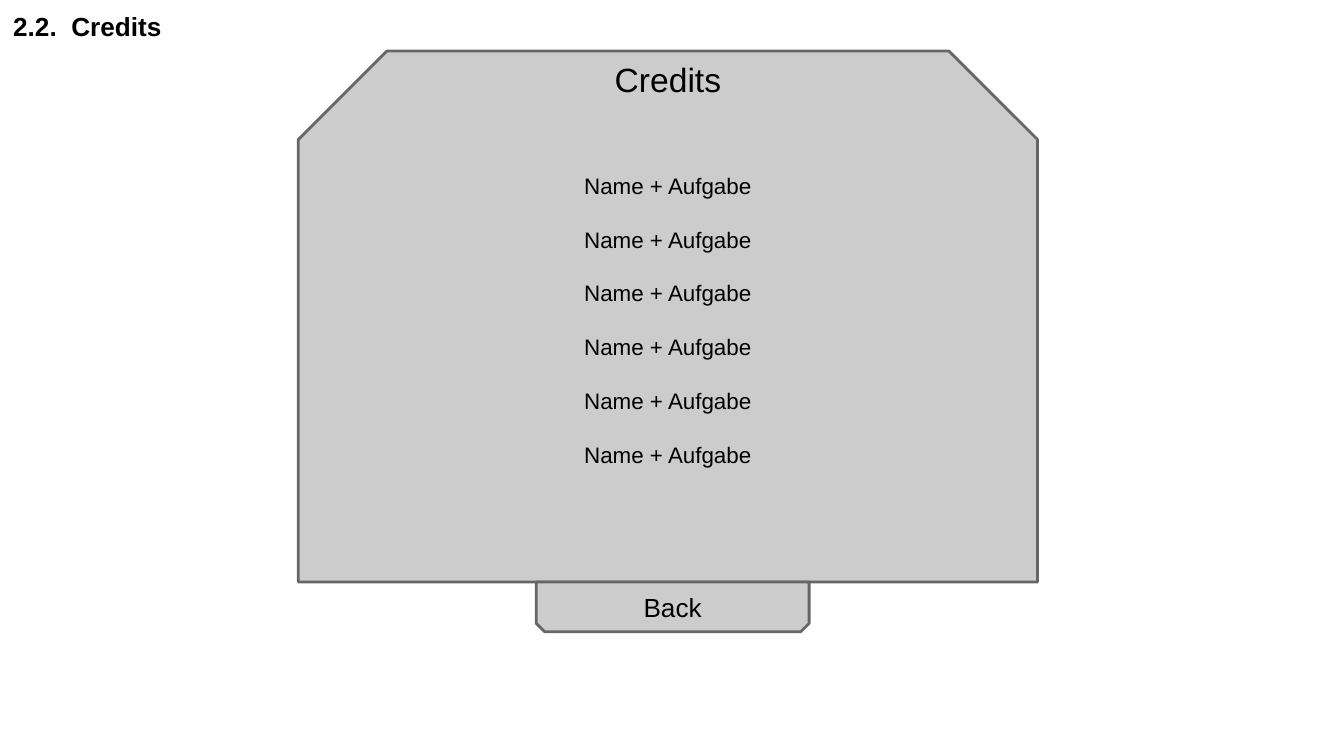
import pptx
import pptx.util
import pptx.dml.color
import pptx.enum.shapes
import pptx.enum.text

Inches = pptx.util.Inches
Pt = pptx.util.Pt
ALIGN = pptx.enum.text.PP_ALIGN
ANCHOR = pptx.enum.text.MSO_ANCHOR


def paint(hue):
    return pptx.dml.color.RGBColor.from_string(hue)


def write(shape, lines, size, align=ALIGN.CENTER, anchor=ANCHOR.TOP,
          bold=False, gap=0, top=0.1):
    frame = shape.text_frame
    frame.word_wrap = True
    frame.vertical_anchor = anchor
    frame.margin_left = frame.margin_right = frame.margin_bottom = Inches(0.1)
    frame.margin_top = Inches(top)
    frame.text = "\n".join(lines)
    for para in frame.paragraphs:
        para.alignment = align
        para.space_after = Pt(gap)
        para.font.name = "Arial"
        para.font.size = Pt(size)
        para.font.bold = bold
        para.font.color.rgb = paint("000000")


def label(slide, left, top, width, height, text, size, **style):
    box = slide.shapes.add_textbox(
        Inches(left), Inches(top), Inches(width), Inches(height))
    write(box, [text], size, **style)


def plate(slide, left, top, width, height):
    """Add a grey rectangle with its two top corners snipped."""
    shape = slide.shapes.add_shape(
        pptx.enum.shapes.MSO_SHAPE.SNIP_2_SAME_RECTANGLE,
        Inches(left), Inches(top), Inches(width), Inches(height))
    shape.shadow.inherit = False
    shape.fill.solid()
    shape.fill.fore_color.rgb = paint("CCCCCC")
    shape.line.color.rgb = paint("666666")
    shape.line.width = Pt(1.5)
    return shape


def credits(slide, left, top, width, height):
    panel = plate(slide, left, top, width, height)
    write(panel, ["Name + Aufgabe"] * 6, 12, gap=14.4, top=0.57)
    label(slide, left + 0.75, top - 0.04, width - 1.5, 0.48, "Credits", 18)


def button(slide, left, top, width, height, text):
    plate(slide, left, top, width, height).rotation = 180
    label(slide, left, top - 0.03, width, height - 0.03, text, 14)


def main():
    deck = pptx.Presentation()
    deck.slide_width = Inches(10)
    deck.slide_height = deck.slide_width * 9 // 16
    slide = deck.slides.add_slide(deck.slide_layouts[6])
    label(slide, 0, 0, 8.5, 0.41, "2.2.  Credits", 14,
          align=ALIGN.LEFT, anchor=ANCHOR.BOTTOM, bold=True)
    credits(slide, 2.22, 0.38, 5.5, 3.95)
    button(slide, 3.99, 4.33, 2.03, 0.37, "Back")
    deck.save("out.pptx")


if __name__ == "__main__":
    main()
